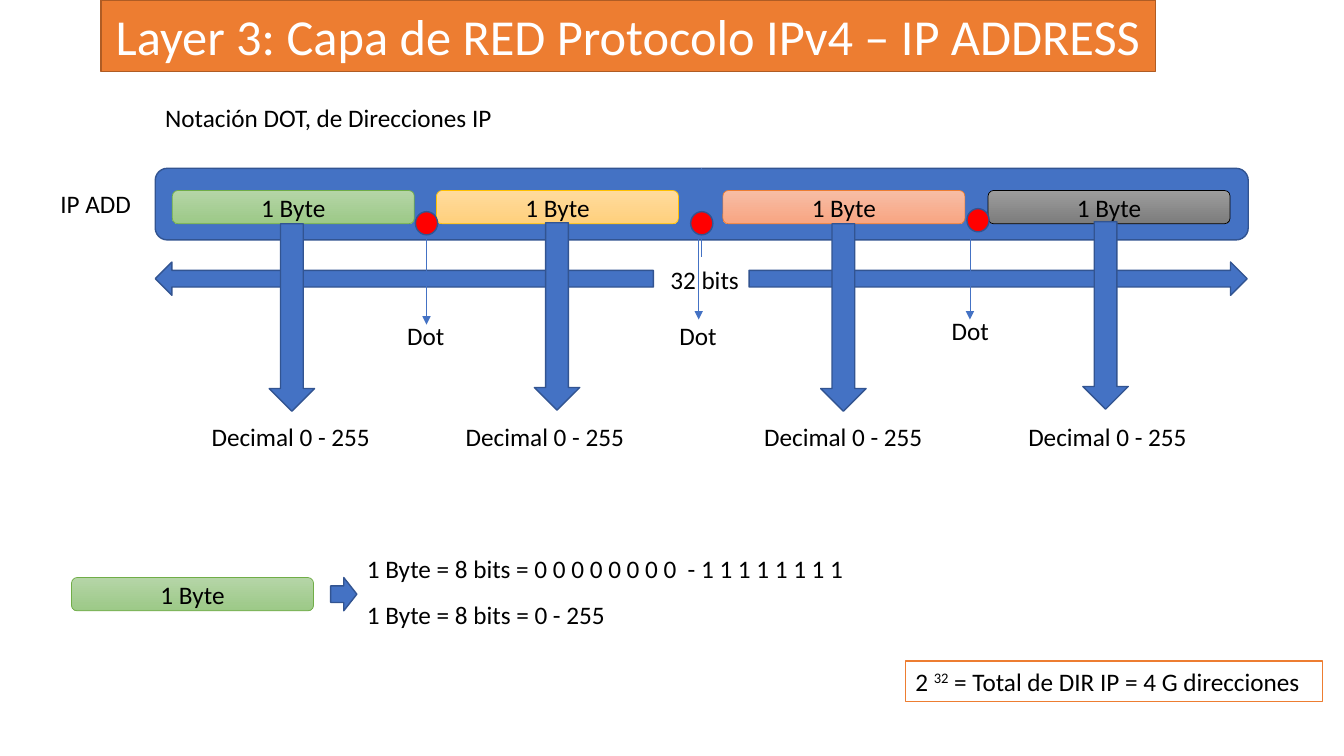
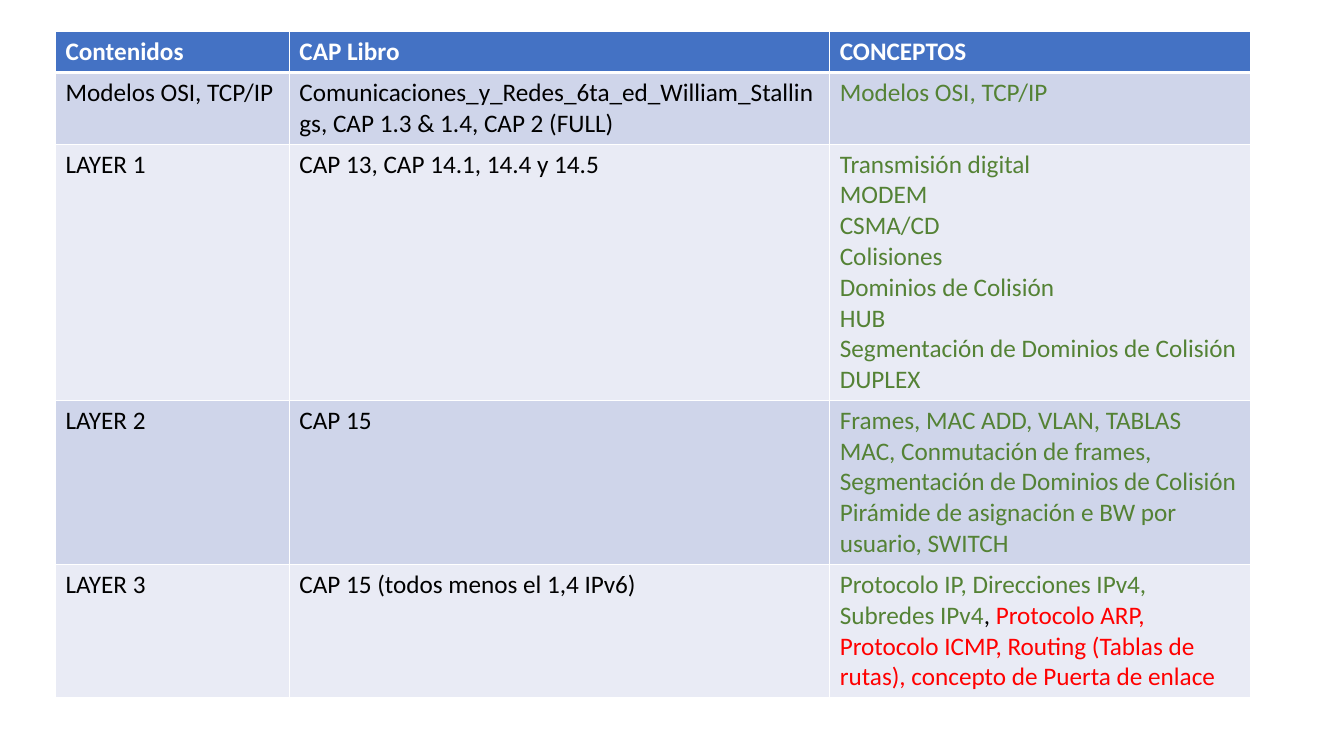
from dataclasses import dataclass

from lxml.etree import SubElement
from pptx import Presentation
from pptx.dml.color import RGBColor
from pptx.enum.shapes import MSO_CONNECTOR as Connectors, MSO_SHAPE as Shapes
from pptx.enum.text import MSO_ANCHOR as Anchor, PP_ALIGN as Align
from pptx.oxml.ns import qn
from pptx.shapes.autoshape import Shape
from pptx.shapes.connector import Connector
from pptx.slide import Slide
from pptx.table import _Cell as Cell
from pptx.util import Inches, Pt

FONT = "Calibri"
BODY_SIZE = 18
TITLE_SIZE = 36
WHITE = RGBColor(0xFF, 0xFF, 0xFF)
BLACK = RGBColor(0x00, 0x00, 0x00)
BLUE = RGBColor(0x44, 0x72, 0xC4)
DARK_BLUE = RGBColor(0x32, 0x54, 0x91)
ORANGE = RGBColor(0xED, 0x7D, 0x31)
DARK_ORANGE = RGBColor(0xAF, 0x5C, 0x24)
RED = RGBColor(0xFF, 0x00, 0x00)
GREEN = RGBColor(0x54, 0x82, 0x35)
ROW_DARK = RGBColor(0xCF, 0xD5, 0xEA)
ROW_LIGHT = RGBColor(0xE9, 0xEB, 0xF5)

BYTE_WIDTH, BYTE_HEIGHT = 2.4, 0.33
ARROW_WIDTH, ARROW_HEIGHT = 0.45, 1.86
DOT_WIDTH, DOT_HEIGHT = 0.22, 0.23
LABEL_HEIGHT = 0.4


@dataclass(frozen=True)
class Box:
    left: float
    top: float
    width: float
    height: float


@dataclass(frozen=True)
class Palette:
    light: RGBColor
    deep: RGBColor
    outline: RGBColor


@dataclass(frozen=True)
class ByteColumn:
    left: float
    arrow_left: float
    arrow_top: float
    decimal_left: float
    palette: Palette


@dataclass(frozen=True)
class DotMark:
    left: float
    top: float
    line_left: float
    line_top: float
    label_left: float
    label_top: float


@dataclass(frozen=True)
class Span:
    text: str
    color: RGBColor = BLACK


GREEN_BYTE = Palette(RGBColor(0xB5, 0xD5, 0xA7), RGBColor(0x9C, 0xC9, 0x87), RGBColor(0x70, 0xAD, 0x47))
YELLOW_BYTE = Palette(RGBColor(0xFF, 0xDB, 0x9E), RGBColor(0xFF, 0xD0, 0x7C), RGBColor(0xFF, 0xC0, 0x00))
ORANGE_BYTE = Palette(RGBColor(0xF7, 0xBD, 0xA5), RGBColor(0xF8, 0xA5, 0x82), ORANGE)
GRAY_BYTE = Palette(RGBColor(0x9D, 0x9D, 0x9D), RGBColor(0x7C, 0x7C, 0x7C), BLACK)

BYTE_COLUMNS = (
    ByteColumn(1.71, 2.67, 2.22, 2.0, GREEN_BYTE),
    ByteColumn(4.33, 5.3, 2.21, 4.52, YELLOW_BYTE),
    ByteColumn(7.17, 8.14, 2.22, 7.48, ORANGE_BYTE),
    ByteColumn(9.8, 10.74, 2.2, 10.1, GRAY_BYTE),
)
DOT_MARKS = (
    DotMark(4.12, 2.1, 4.23, 2.22, 3.94, 3.13),
    DotMark(6.85, 2.1, 6.93, 2.17, 6.64, 3.13),
    DotMark(9.59, 2.07, 9.62, 2.17, 9.34, 3.08),
)

TABLE_BOX = Box(0.55, 0.31, 11.85, 6.61)
COLUMN_WIDTHS = (2.32, 5.36, 4.17)
ROW_HEIGHTS = (0.41, 0.71, 2.54, 1.63, 1.32)
HEADERS = ("Contenidos", "CAP Libro", "CONCEPTOS")
TOPICS = (
    ("Modelos OSI, TCP/IP",
     "Comunicaciones_y_Redes_6ta_ed_William_Stallings, CAP 1.3 & 1.4, CAP 2 (FULL)",
     [[Span("Modelos OSI, TCP/IP", GREEN)]]),
    ("LAYER 1", "CAP 13, CAP 14.1, 14.4 y 14.5",
     [[Span(concept, GREEN)] for concept in (
         "Transmisión digital", "MODEM", "CSMA/CD", "Colisiones", "Dominios de Colisión",
         "HUB", "Segmentación de Dominios de Colisión", "DUPLEX")]),
    ("LAYER 2", "CAP 15",
     [[Span("Frames, MAC ADD, VLAN, TABLAS MAC, Conmutación de frames, "
            "Segmentación de Dominios de Colisión", GREEN)],
      [Span("Pirámide de asignación e BW por usuario, SWITCH", GREEN)]]),
    ("LAYER 3", "CAP 15 (todos menos el 1,4 IPv6)",
     [[Span("Protocolo IP, Direcciones IPv4, Subredes IPv4", GREEN), Span(", "),
       Span("Protocolo ARP, Protocolo ICMP, Routing (Tablas de rutas), "
            "concepto de Puerta de enlace", RED)]]),
)


def format_font(font, color: RGBColor = BLACK, size: float = BODY_SIZE, bold: bool = False) -> None:
    font.name = FONT
    font.size = Pt(size)
    font.bold = bold
    font.color.rgb = color


def place(box: Box) -> tuple:
    return Inches(box.left), Inches(box.top), Inches(box.width), Inches(box.height)


def paint(shape: Shape, fill: RGBColor, outline: RGBColor) -> None:
    shape.shadow.inherit = False
    shape.fill.solid()
    shape.fill.fore_color.rgb = fill
    shape.line.color.rgb = outline
    shape.line.width = Pt(1)


def add_solid(slide: Slide, kind: Shapes, box: Box, fill: RGBColor = BLUE,
              outline: RGBColor = DARK_BLUE) -> Shape:
    shape = slide.shapes.add_shape(kind, *place(box))
    paint(shape, fill, outline)
    return shape


def add_label(slide: Slide, text: str, left: float, top: float, width: float) -> None:
    text_frame = slide.shapes.add_textbox(*place(Box(left, top, width, LABEL_HEIGHT))).text_frame
    text_frame.word_wrap = False
    text_frame.text = text
    format_font(text_frame.paragraphs[0].runs[0].font)


def add_byte(slide: Slide, left: float, top: float, palette: Palette) -> None:
    shape = slide.shapes.add_shape(
        Shapes.ROUNDED_RECTANGLE, *place(Box(left, top, BYTE_WIDTH, BYTE_HEIGHT)))
    shape.shadow.inherit = False
    shape.fill.gradient()
    shape.fill.gradient_angle = 270
    for stop, color in zip(shape.fill.gradient_stops, (palette.light, palette.deep)):
        stop.color.rgb = color
    shape.line.color.rgb = palette.outline
    shape.line.width = Pt(0.5)
    shape.text_frame.text = "1 Byte"
    shape.text_frame.vertical_anchor = Anchor.MIDDLE
    paragraph = shape.text_frame.paragraphs[0]
    paragraph.alignment = Align.CENTER
    format_font(paragraph.runs[0].font)


def add_vertical_line(slide: Slide, left: float, top: float, bottom: float,
                      arrow: bool = False) -> Connector:
    connector = slide.shapes.add_connector(
        Connectors.STRAIGHT, Inches(left), Inches(top), Inches(left), Inches(bottom))
    connector.line.color.rgb = BLUE
    connector.line.width = Pt(0.5)
    properties = connector._element.spPr
    if arrow:
        SubElement(properties.find(qn("a:ln")), qn("a:tailEnd"), type="triangle")
    SubElement(properties, qn("a:effectLst"))
    return connector


def add_title(slide: Slide, text: str) -> None:
    title = slide.shapes.title
    title.left, title.top, title.width, title.height = place(Box(1, 0, 10.46, 0.71))
    paint(title, ORANGE, DARK_ORANGE)
    title.text_frame.text = text
    title.text_frame.word_wrap = False
    title.text_frame.vertical_anchor = Anchor.MIDDLE
    paragraph = title.text_frame.paragraphs[0]
    paragraph.alignment = Align.CENTER
    format_font(paragraph.runs[0].font, WHITE, TITLE_SIZE)


def add_address_total(slide: Slide) -> None:
    shape = add_solid(slide, Shapes.RECTANGLE, Box(8.98, 6.56, 4.14, LABEL_HEIGHT), WHITE, ORANGE)
    shape.text_frame.word_wrap = False
    paragraph = shape.text_frame.paragraphs[0]
    paragraph.alignment = Align.LEFT
    for text in ("2 ", "32", " = Total de DIR IP = 4 G direcciones"):
        run = paragraph.add_run()
        run.text = text
        format_font(run.font)
    paragraph.runs[1]._r.get_or_add_rPr().set("baseline", "30000")


def build_address_slide(presentation: Presentation) -> None:
    slide = presentation.slides.add_slide(presentation.slide_layouts[5])
    add_title(slide, "Layer 3: Capa de RED Protocolo IPv4 – IP ADDRESS")
    address_bar = add_solid(slide, Shapes.ROUNDED_RECTANGLE, Box(1.54, 1.67, 10.84, 0.71))
    add_label(slide, "IP ADD", 0.5, 1.82, 0.91)
    add_vertical_line(slide, 6.96, 1.67, 2.55).begin_connect(address_bar, 0)
    for left, rotation in ((7.43, 0), (1.54, 180)):
        add_solid(slide, Shapes.RIGHT_ARROW, Box(left, 2.6, 4.94, 0.33)).rotation = rotation
    add_label(slide, "32 bits", 6.55, 2.57, 0.89)

    for column in BYTE_COLUMNS:
        add_byte(slide, column.left, 1.89, column.palette)
    for mark in DOT_MARKS:
        add_vertical_line(slide, mark.line_left, mark.line_top, mark.line_top + 1, arrow=True)
        add_label(slide, "Dot", mark.label_left, mark.label_top, 0.58)
    for column in BYTE_COLUMNS:
        add_solid(slide, Shapes.DOWN_ARROW,
                  Box(column.arrow_left, column.arrow_top, ARROW_WIDTH, ARROW_HEIGHT))
        add_label(slide, "Decimal 0 - 255", column.decimal_left, 4.13, 1.79)

    add_label(slide, "Notación DOT, de Direcciones IP", 1.54, 0.97, 3.48)
    add_byte(slide, 0.71, 5.73, GREEN_BYTE)
    add_label(slide, "1 Byte = 8 bits = 0 0 0 0 0 0 0 0  - 1 1 1 1 1 1 1 1", 3.54, 5.44, 5)
    add_label(slide, "1 Byte = 8 bits = 0 - 255", 3.54, 5.9, 2.59)
    add_solid(slide, Shapes.RIGHT_ARROW, Box(3.28, 5.73, 0.26, 0.33))
    add_address_total(slide)
    for mark in DOT_MARKS:
        add_solid(slide, Shapes.OVAL, Box(mark.left, mark.top, DOT_WIDTH, DOT_HEIGHT), RED)


def add_borders(cell: Cell, top: float, bottom: float) -> None:
    properties = cell._tc.get_or_add_tcPr()
    for side, width in (("L", 1), ("R", 1), ("T", top), ("B", bottom)):
        line = SubElement(properties, qn(f"a:ln{side}"), w=str(Pt(width)))
        fill = SubElement(line, qn("a:solidFill"))
        SubElement(fill, qn("a:srgbClr"), val=str(WHITE))


def fill_cell(cell: Cell, content: list[list[Span]], fill: RGBColor, bold: bool) -> None:
    cell.fill.solid()
    cell.fill.fore_color.rgb = fill
    text_frame = cell.text_frame
    text_frame.text = "\n".join("".join(span.text for span in spans) for spans in content)
    for paragraph, spans in zip(text_frame.paragraphs, content):
        paragraph.text = ""
        for span in spans:
            run = paragraph.add_run()
            run.text = span.text
            format_font(run.font, span.color, bold=bold)


def build_contents_slide(presentation: Presentation) -> None:
    slide = presentation.slides.add_slide(presentation.slide_layouts[6])
    table = slide.shapes.add_table(
        len(ROW_HEIGHTS), len(COLUMN_WIDTHS), *place(TABLE_BOX)).table
    for column, width in zip(table.columns, COLUMN_WIDTHS):
        column.width = Inches(width)
    for row, height in zip(table.rows, ROW_HEIGHTS):
        row.height = Inches(height)
    rows = [[[[Span(header, WHITE)]] for header in HEADERS]]
    rows += [[[[Span(topic)]], [[Span(chapter)]], concepts] for topic, chapter, concepts in TOPICS]
    for index, contents in enumerate(rows):
        is_header = index == 0
        fill = BLUE if is_header else (ROW_LIGHT, ROW_DARK)[index % 2]
        for cell, content in zip(table.rows[index].cells, contents):
            add_borders(cell, top=3 if index == 1 else 1, bottom=3 if is_header else 1)
            fill_cell(cell, content, fill, bold=is_header)


def main() -> None:
    presentation = Presentation()
    presentation.slide_width = Inches(13.33)
    presentation.slide_height = Inches(7.5)
    build_address_slide(presentation)
    build_contents_slide(presentation)
    presentation.save("out.pptx")


if __name__ == "__main__":
    main()
